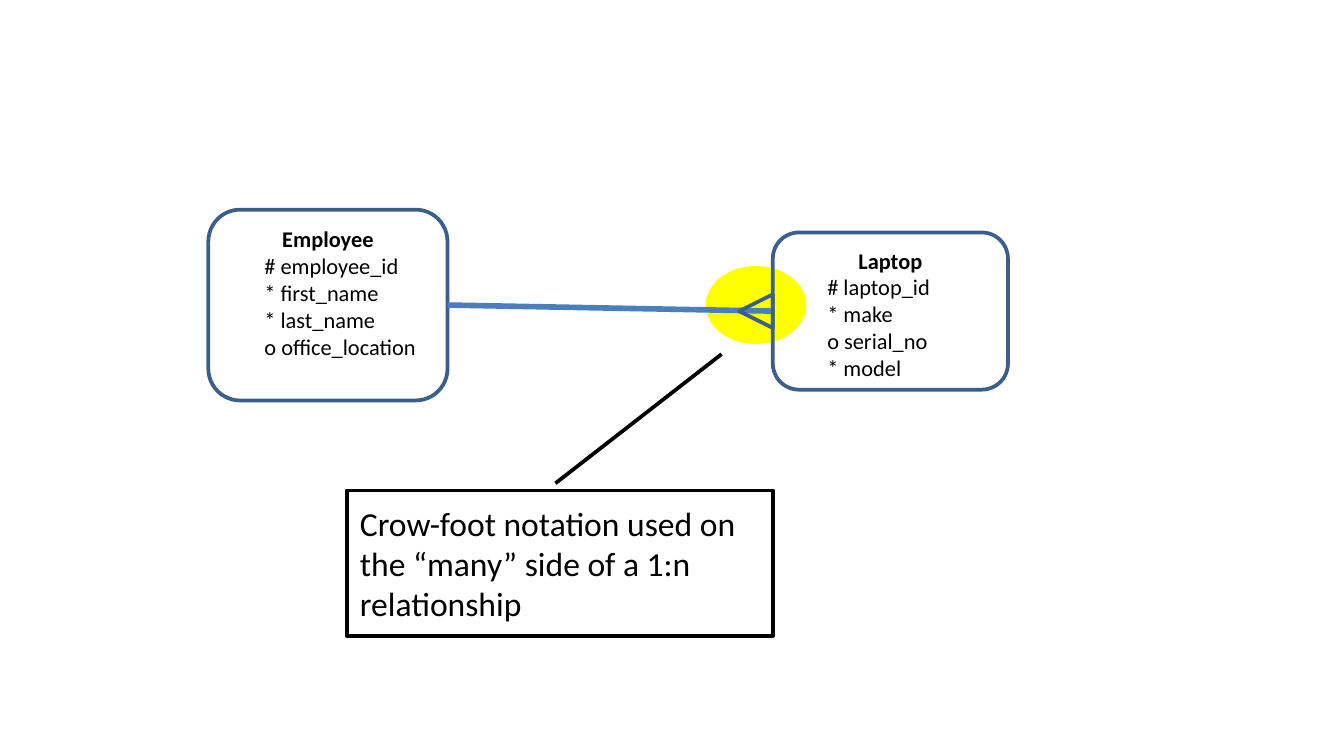
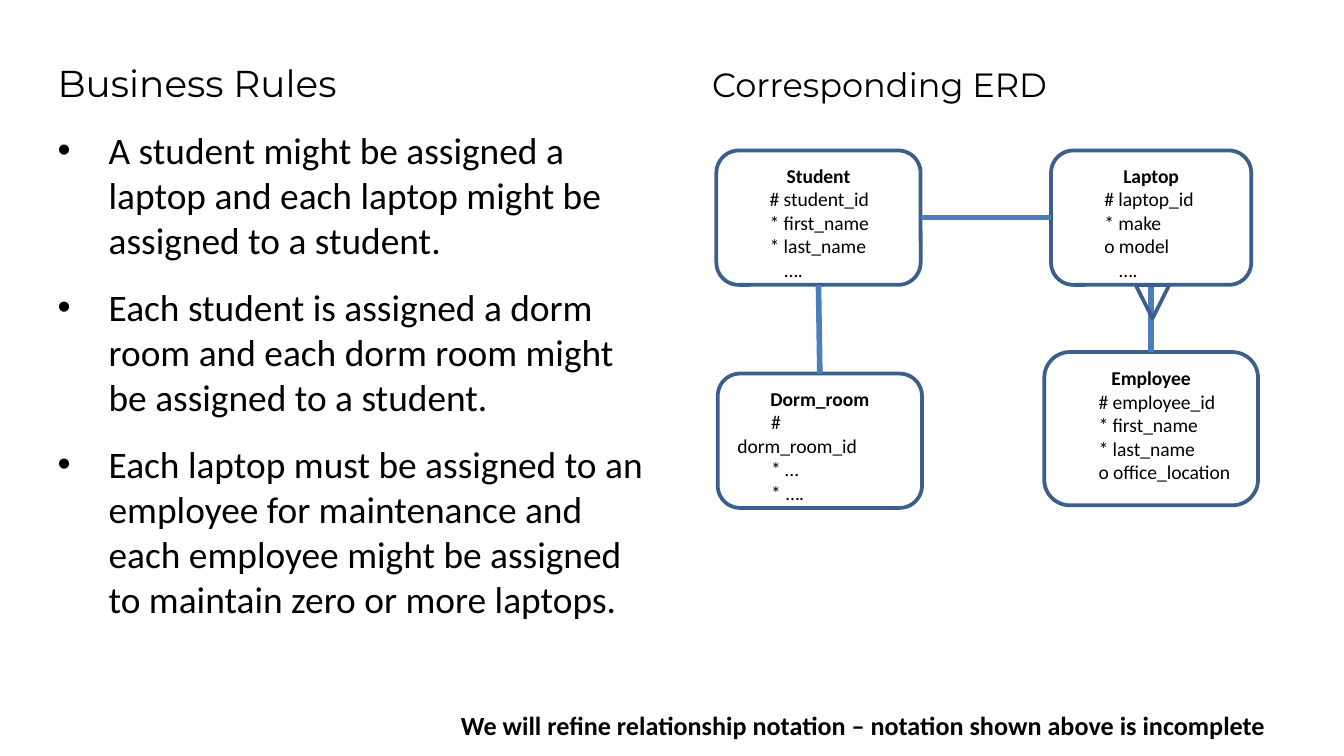
"""Build two slides on entity relationship notation."""
import lxml.etree
import pptx
import pptx.dml.color
import pptx.enum.shapes
import pptx.enum.text
import pptx.oxml.ns
import pptx.util

Inches = pptx.util.Inches
Pt = pptx.util.Pt
RGBColor = pptx.dml.color.RGBColor
SHAPES = pptx.enum.shapes.MSO_SHAPE
ANCHOR = pptx.enum.text.MSO_ANCHOR
ALIGN = pptx.enum.text.PP_ALIGN

BLACK = RGBColor(0x00, 0x00, 0x00)
OUTLINE = RGBColor(0x3A, 0x5F, 0x8C)
RELATION = RGBColor(0x4B, 0x7E, 0xBC)
HIGHLIGHT = RGBColor(0xFF, 0xFF, 0x00)

BODY_FONT = "Calibri"
HEADING_FONT = "Montserrat"
SLIDE_WIDTH = 10
SLIDE_HEIGHT = SLIDE_WIDTH * 9 / 16
TAB_STOPS = (0.25, 0.36)
BULLET_INDENT = 0.38
TOP, LEFT, BOTTOM, RIGHT = 0, 1, 2, 3

EMPLOYEE_ROWS = ["# employee_id", "* first_name", "* last_name", "o office_location"]
BUSINESS_RULES = [
    "A student might be assigned a laptop and each laptop might be assigned to a student.",
    "Each student is assigned a dorm room and each dorm room might be assigned to a student.",
    "Each laptop must be assigned to an employee for maintenance and each employee might be "
    "assigned to maintain zero or more laptops.",
]


def add_element(parent, tag, **attributes):
    """Append a DrawingML element to a parent element."""
    element = lxml.etree.SubElement(parent, pptx.oxml.ns.qn(tag))
    for name, value in attributes.items():
        element.set(name, str(value))
    return element


def write(paragraph, text, size, font=BODY_FONT, bold=False):
    """Set the text of a paragraph and format its runs."""
    paragraph.text = text
    for span in paragraph.runs:
        span.font.name = font
        span.font.size = Pt(size)
        span.font.bold = bold
        span.font.color.rgb = BLACK


def add_outline(page, kind, left, top, width, height, color=OUTLINE):
    """Add an unfilled shape with a two-point outline."""
    shape = page.shapes.add_shape(kind, Inches(left), Inches(top), Inches(width), Inches(height))
    shape.shadow.inherit = False
    shape.fill.background()
    shape.line.color.rgb = color
    shape.line.width = Pt(2)
    return shape


def add_entity(page, place, name, rows, size):
    """Add an entity box with its name and tabbed attributes."""
    entity = add_outline(page, SHAPES.ROUNDED_RECTANGLE, *place)
    frame = entity.text_frame
    frame.word_wrap = True
    frame.vertical_anchor = ANCHOR.TOP
    write(frame.paragraphs[0], name, size, bold=True)
    frame.paragraphs[0].alignment = ALIGN.CENTER
    for row in rows:
        para = frame.add_paragraph()
        para.alignment = ALIGN.LEFT
        tabs = add_element(para._p.get_or_add_pPr(), "a:tabLst")
        for stop in TAB_STOPS:
            add_element(tabs, "a:tab", pos=Inches(stop), algn="l")
        write(para, "\t" + row, size)
    return entity


def relate(page, first, first_side, second, second_side):
    """Join two entities with a relationship line."""
    line = page.shapes.add_connector(pptx.enum.shapes.MSO_CONNECTOR.STRAIGHT, 0, 0, 0, 0)
    line.begin_connect(first, first_side)
    line.end_connect(second, second_side)
    line.line.color.rgb = RELATION
    line.line.width = Pt(3)
    add_element(line._element.spPr, "a:effectLst")


def add_crow_foot(page, left, top, rotation):
    """Add the crow-foot triangle that marks a many side."""
    foot = add_outline(page, SHAPES.ISOSCELES_TRIANGLE, left, top, 0.25, 0.25)
    foot.rotation = rotation


def add_text(page, left, top, width, height, text, size, font=BODY_FONT, bold=False, wrap=True):
    """Add a text box and return its text frame."""
    box = page.shapes.add_textbox(Inches(left), Inches(top), Inches(width), Inches(height))
    frame = box.text_frame
    frame.word_wrap = wrap
    frame.auto_size = pptx.enum.text.MSO_AUTO_SIZE.SHAPE_TO_FIT_TEXT
    write(frame.paragraphs[0], text, size, font, bold)
    return frame


def add_rules(frame, rules):
    """Add bulleted rules below the heading of a text frame."""
    for rule in rules:
        para = frame.add_paragraph()
        properties = para._p.get_or_add_pPr()
        properties.set("marL", str(Inches(BULLET_INDENT)))
        properties.set("indent", str(-Inches(BULLET_INDENT)))
        add_element(properties, "a:buFont", typeface="Arial")
        add_element(properties, "a:buChar", char="•")
        write(para, rule, 20)
    for para in frame.paragraphs:
        para.space_after = Pt(12)


def build_notation(page):
    """Show the crow-foot notation between two entities."""
    spot = add_outline(page, SHAPES.OVAL, 5.25, 1.98, 0.75, 0.58)
    spot.fill.solid()
    spot.fill.fore_color.rgb = HIGHLIGHT
    spot.line.fill.background()
    employee = add_entity(page, (1.55, 1.56, 1.78, 1.42), "Employee", EMPLOYEE_ROWS, 12)
    laptop = add_entity(page, (5.75, 1.73, 1.75, 1.17), "Laptop",
                        ["# laptop_id", "* make", "o serial_no", "* model"], 12)
    relate(page, employee, RIGHT, laptop, LEFT)
    add_crow_foot(page, 5.5, 2.19, 270)
    callout = add_outline(page, SHAPES.LINE_CALLOUT_1, 2.58, 3.65, 3.17, 1.08, BLACK)
    for index, value in enumerate((-0.05, 0.49, -0.94, 0.88)):
        callout.adjustments[index] = value
    frame = callout.text_frame
    frame.word_wrap = True
    frame.vertical_anchor = ANCHOR.MIDDLE
    write(frame.paragraphs[0],
          "Crow-foot notation used on the “many” side of a 1:n relationship", 18)
    frame.paragraphs[0].alignment = ALIGN.LEFT


def build_rules(page):
    """Set business rules beside the matching diagram."""
    rules = add_text(page, 0.33, 0.4, 4.58, 4.31, "Business Rules", 20, HEADING_FONT)
    add_rules(rules, BUSINESS_RULES)
    student = add_entity(page, (5.33, 1.12, 1.52, 1), "Student",
                         ["# student_id", "* first_name", "* last_name", "\t…."], 10.5)
    laptop = add_entity(page, (7.82, 1.12, 1.49, 1), "Laptop",
                        ["# laptop_id", "* make", "o model", "\t…."], 10.5)
    relate(page, student, RIGHT, laptop, LEFT)
    dorm_room = add_entity(page, (5.34, 2.78, 1.52, 1), "Dorm_room",
                           ["# dorm_room_id", "* …", "*\t…."], 10.5)
    relate(page, student, BOTTOM, dorm_room, TOP)
    employee = add_entity(page, (7.77, 2.62, 1.59, 1.14), "Employee", EMPLOYEE_ROWS, 10.5)
    relate(page, employee, TOP, laptop, BOTTOM)
    add_crow_foot(page, 8.45, 2.12, 180)
    add_text(page, 5.2, 0.43, 2.88, 0.4, "Corresponding ERD", 18, HEADING_FONT, wrap=False)
    add_text(page, 3.33, 5.23, 6.42, 0.34,
             "We will refine relationship notation – notation shown above is incomplete",
             14, bold=True)


def main():
    """Build and save the deck."""
    deck = pptx.Presentation()
    deck.slide_width = Inches(SLIDE_WIDTH)
    deck.slide_height = Inches(SLIDE_HEIGHT)
    blank = deck.slide_layouts[6]
    for build in (build_notation, build_rules):
        build(deck.slides.add_slide(blank))
    deck.save("out.pptx")


if __name__ == "__main__":
    main()
